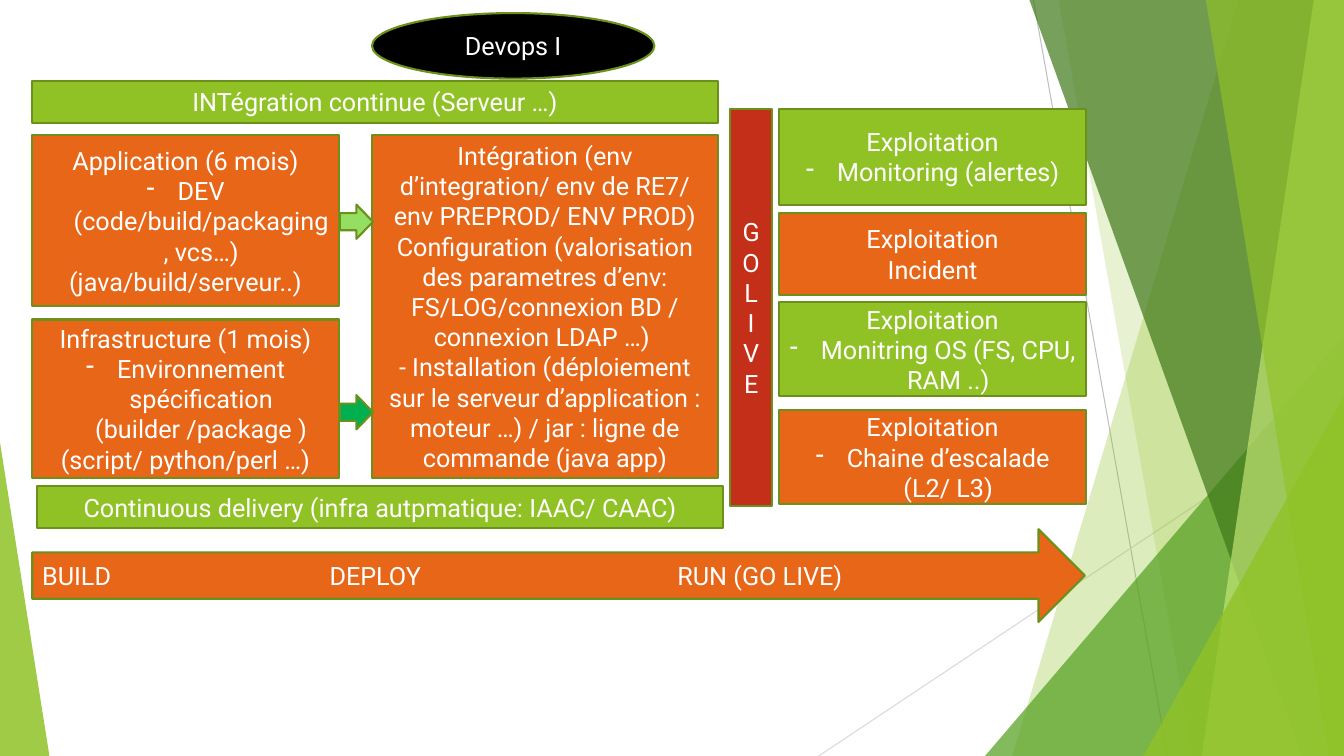
from lxml.etree import SubElement
from pptx import Presentation
from pptx.dml.color import RGBColor
from pptx.enum.shapes import MSO_CONNECTOR, MSO_SHAPE as SHAPE
from pptx.enum.text import MSO_ANCHOR, PP_ALIGN
from pptx.oxml.ns import qn
from pptx.util import Inches, Pt

COLORS = {
    "white": "FFFFFF", "black": "000000", "orange": "E76618", "lime": "90C226",
    "border": "6B901C", "red": "C42F1A", "emerald": "00B050", "mint": "94DE61",
    "leaf": "54A021", "forest": "3F7819", "pale": "C0E474",
    "gray": "BFBFBF", "silver": "D9D9D9",
}


def fill_shape(shape, color, alpha=None):
    shape.shadow.inherit = False
    shape.fill.solid()
    shape.fill.fore_color.rgb = RGBColor.from_string(COLORS[color])
    if alpha is None:
        shape.line.color.rgb = RGBColor.from_string(COLORS["border"])
        shape.line.width = Pt(1.5)
    else:
        shape.line.fill.background()
        color_element = shape.fill._xPr.find(qn("a:solidFill"))[0]
        SubElement(color_element, qn("a:alpha"), val=str(alpha * 1000))


def add_block(kind, box, color, lines=(), align=PP_ALIGN.CENTER):
    shape = slide.shapes.add_shape(kind, *map(Inches, box))
    fill_shape(shape, color)
    frame = shape.text_frame
    frame.word_wrap = True
    frame.vertical_anchor = MSO_ANCHOR.MIDDLE
    for index, line in enumerate(lines):
        paragraph = frame.paragraphs[0] if index == 0 else frame.add_paragraph()
        bulleted = line.startswith("* ")
        paragraph.text = line.removeprefix("* ")
        paragraph.alignment = align
        paragraph.font.size = Pt(18)
        paragraph.font.name = "Roboto"
        paragraph.font.color.rgb = RGBColor.from_string(COLORS["white"])
        if bulleted:
            properties = paragraph._p.get_or_add_pPr()
            properties.set("marL", str(Inches(0.31)))
            properties.set("indent", str(-Inches(0.31)))
            bullet = properties.makeelement(qn("a:buChar"), {"char": "-"})
            properties.insert(0, bullet)
    return shape


presentation = Presentation()
presentation.slide_width = Inches(13.33)
presentation.slide_height = Inches(7.5)
slide = presentation.slides.add_slide(presentation.slide_layouts[6])

for ends, color in [((10.25, 0, 11.58, 7.5), "gray"), ((13.33, 4.03, 8.12, 7.5), "silver")]:
    line = slide.shapes.add_connector(MSO_CONNECTOR.STRAIGHT, *map(Inches, ends))
    line.line.color.rgb = RGBColor.from_string(COLORS[color])
    line.line.width = Pt(0.75)
    SubElement(line._element.spPr, qn("a:effectLst"))

RIGHT, BOTTOM = 13.33, 7.5
facets = [
    ([(12.28, 0), (RIGHT, 0), (RIGHT, BOTTOM), (10.04, BOTTOM)], "lime", 30),
    ([(10.5, 0), (RIGHT, 0), (RIGHT, BOTTOM), (11.83, BOTTOM)], "lime", 20),
    ([(RIGHT, 3.33), (RIGHT, BOTTOM), (9.77, BOTTOM)], "leaf", 72),
    ([(10.21, 0), (RIGHT, 0), (RIGHT, BOTTOM), (12.91, BOTTOM)], "forest", 70),
    ([(13.03, 0), (RIGHT, 0), (RIGHT, BOTTOM), (11.92, BOTTOM)], "pale", 70),
    ([(11.96, 0), (RIGHT, 0), (RIGHT, BOTTOM), (13.18, BOTTOM)], "lime", 65),
    ([(RIGHT, 3.93), (RIGHT, BOTTOM), (11.34, BOTTOM)], "lime", 80),
    ([(0, 4.39), (0.49, BOTTOM), (0, BOTTOM)], "lime", 85),
]
for corners, color, alpha in facets:
    points = [(Inches(x), Inches(y)) for x, y in corners]
    builder = slide.shapes.build_freeform(*points[0])
    builder.add_line_segments(points[1:], close=True)
    fill_shape(builder.convert_to_shape(), color, alpha)

LEFT = 0.32
CARD_WIDTH = 3.04
add_block(SHAPE.RECTANGLE, (LEFT, 1.34, CARD_WIDTH, 1.7), "orange", [
    "Application (6 mois)",
    "* DEV (code/build/packaging, vcs…)",
    "(java/build/serveur..)",
])
add_block(SHAPE.RECTANGLE, (LEFT, 3.17, CARD_WIDTH, 1.57), "orange", [
    "Infrastructure (1 mois)",
    "* Environnement spécification (builder /package )",
    "(script/ python/perl …)",
])
add_block(SHAPE.RECTANGLE, (3.69, 1.34, 3.43, 3.4), "orange", [
    "Intégration (env d’integration/ env de RE7/ env PREPROD/ ENV PROD)",
    "Configuration (valorisation des parametres d’env: FS/LOG/connexion BD / connexion LDAP …) ",
    "- Installation (déploiement sur le serveur d’application : moteur …) / jar : ligne de commande (java app)",
])

operations = [
    (1.08, 0.95, "lime", "* Monitoring (alertes)"),
    (2.11, 0.82, "orange", "Incident"),
    (3, 0.93, "lime", "* Monitring OS (FS, CPU, RAM ..)"),
    (4.07, 0.93, "orange", "* Chaine d’escalade (L2/ L3)"),
]
for top, height, color, task in operations:
    add_block(SHAPE.RECTANGLE, (7.73, top, CARD_WIDTH, height), color, ["Exploitation", task])

phases = add_block(SHAPE.RIGHT_ARROW, (LEFT, 5.25, 10.44, 0.92), "orange",
                   ["BUILD\tDEPLOY\tRUN (GO LIVE)"], PP_ALIGN.LEFT)
phase_properties = phases.text_frame.paragraphs[0]._p.get_or_add_pPr()
tab_list = phase_properties.makeelement(qn("a:tabLst"), {})
phase_properties.insert(0, tab_list)
for position in (2.85, 6.3):
    SubElement(tab_list, qn("a:tab"), pos=str(Inches(position)), algn="l")

for top, color in [(3.92, "emerald"), (2.03, "mint")]:
    add_block(SHAPE.RIGHT_ARROW, (3.37, top, 0.33, 0.34), color)

add_block(SHAPE.RECTANGLE, (7.24, 1.08, 0.42, 3.94), "red", ["GO", "L", "I", "V", "E"])
add_block(SHAPE.OVAL, (3.69, 0.13, 2.8, 0.65), "black", ["Devops I"])
add_block(SHAPE.RECTANGLE, (LEFT, 0.8, 6.8, 0.42), "lime", ["INTégration continue (Serveur …)"])
add_block(SHAPE.RECTANGLE, (0.37, 4.82, 6.8, 0.42), "lime",
          ["Continuous delivery (infra autpmatique: IAAC/ CAAC)"])

presentation.save("out.pptx")
